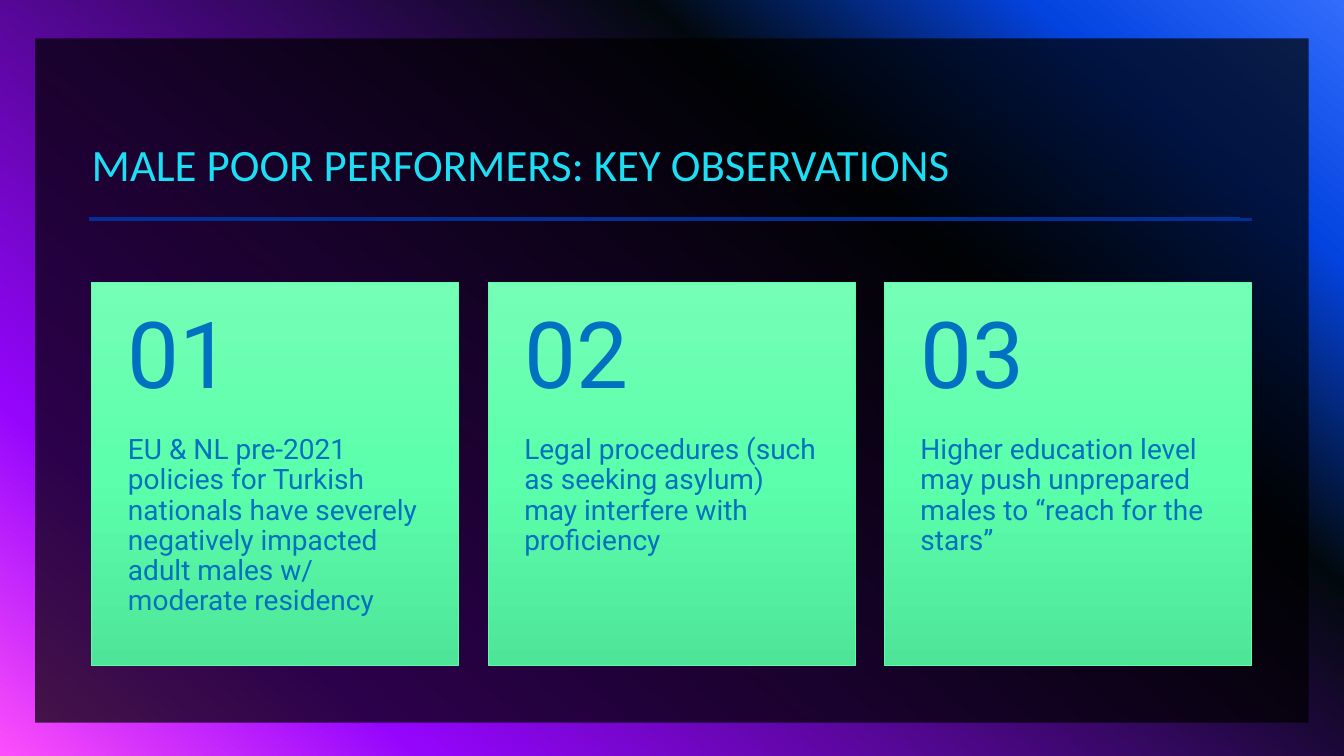
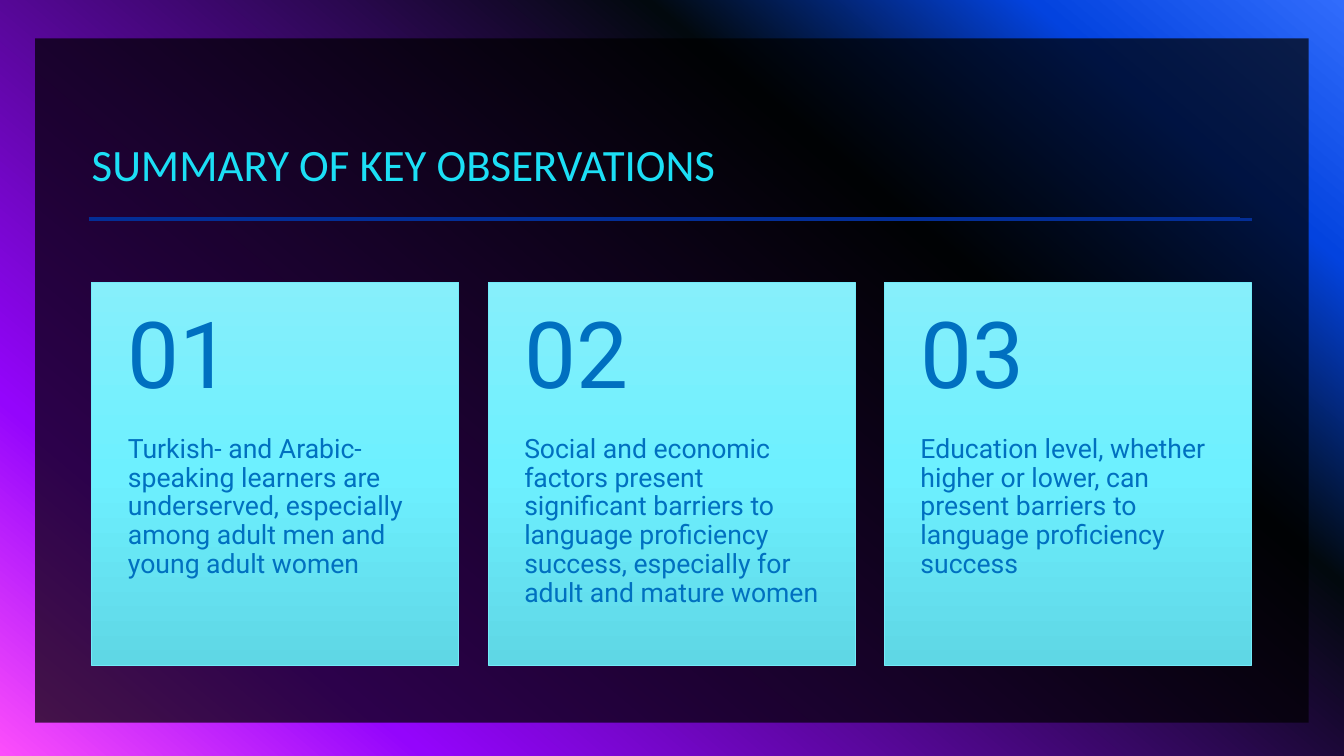
from typing import NamedTuple

from lxml import etree
from pptx import Presentation
from pptx import util as u
from pptx.dml.color import RGBColor
from pptx.enum import shapes, text
from pptx.oxml.ns import qn

CYAN, TEXT_BLUE, RULE_BLUE, BLACK = "1CDFF5", "0070C0", "032E96", "000000"
BACKDROP = [(0, "316CFC"), (14, "0343DF"), (31, "02090E"), (81, "9405FC"), (100, "FC4EFB")]
TITLE_FONT, BODY_FONT = "Calibri", "Roboto"

LEFT, CARD_TOP = 0.91, 2.8
CARD_WIDTH, CARD_GAP = 3.64, 0.29
NUMBER_HEIGHT, BODY_HEIGHT = 1.52, 2.28
PADDING = 0.36


class Box(NamedTuple):
    left: float
    top: float
    width: float
    height: float

    def lengths(self) -> list:
        return [u.Inches(value) for value in self]


class Insets(NamedTuple):
    left: float
    top: float
    right: float
    bottom: float


class TextStyle(NamedTuple):
    font: str
    size: int
    color: str
    anchor: text.MSO_ANCHOR
    insets: Insets


class CardTheme(NamedTuple):
    stops: list
    outline: str
    body_size: int


class Page(NamedTuple):
    title: str
    theme: CardTheme
    observations: list


TITLE = TextStyle(TITLE_FONT, 32, CYAN, text.MSO_ANCHOR.BOTTOM, Insets(0, 0.05, 0.1, 0.05))
NUMBER = TextStyle(BODY_FONT, 66, TEXT_BLUE, text.MSO_ANCHOR.MIDDLE,
                   Insets(PADDING, PADDING / 2, PADDING, PADDING / 2))
BODY = TextStyle(BODY_FONT, 20, TEXT_BLUE, text.MSO_ANCHOR.TOP,
                 Insets(PADDING, 0, PADDING, PADDING))

GREEN = CardTheme([(0, "75FEB6"), (50, "5BFFAC"), (100, "4FE599")], "5EFCAC", 20)
AQUA = CardTheme([(0, "86EFFB"), (50, "6DF0FF"), (100, "5FD7E5")], "73EBF9", 19)

PAGES = [
    Page("MALE POOR PERFORMERS: KEY OBSERVATIONS", GREEN, [
        "EU & NL pre-2021 policies for Turkish nationals have severely negatively "
        "impacted adult males w/ moderate residency",
        "Legal procedures (such as seeking asylum) may interfere with proficiency",
        "Higher education level may push unprepared males to “reach for the stars”",
    ]),
    Page("SUMMARY OF KEY OBSERVATIONS", AQUA, [
        "Turkish- and Arabic-speaking learners are underserved, especially among "
        "adult men and young adult women",
        "Social and economic factors present significant barriers to language "
        "proficiency success, especially for adult and mature women",
        "Education level, whether higher or lower, can present barriers to language "
        "proficiency success",
    ]),
]


def rgb(color: str) -> RGBColor:
    return RGBColor.from_string(color)


def set_gradient(fill, element, stops: list, angle: int) -> None:
    """Fill with percent/colour stops; the angle runs clockwise."""
    fill.gradient()
    fill.gradient_angle = 360 - angle
    stop_list = element.find(".//" + qn("a:gsLst"))
    for old_stop in list(stop_list):
        stop_list.remove(old_stop)
    for percent, color in stops:
        stop = etree.SubElement(stop_list, qn("a:gs"), pos=str(percent * 1000))
        etree.SubElement(stop, qn("a:srgbClr"), val=color)


def add_rectangle(page, box: Box):
    rectangle = page.shapes.add_shape(shapes.MSO_SHAPE.RECTANGLE, *box.lengths())
    rectangle.shadow.inherit = False
    return rectangle


def add_panel(page) -> None:
    panel = add_rectangle(page, Box(0.35, 0.38, 12.63, 6.79))
    panel.fill.solid()
    panel.fill.fore_color.rgb = rgb(BLACK)
    color = panel.element.spPr.find(".//" + qn("a:srgbClr"))
    etree.SubElement(color, qn("a:alpha"), val="70000")
    panel.line.fill.background()


def add_rule(page, right: float, y: float) -> None:
    rule = page.shapes.add_connector(shapes.MSO_CONNECTOR.STRAIGHT, u.Inches(0.88), u.Inches(y),
                                     u.Inches(right), u.Inches(y))
    rule.line.color.rgb = rgb(RULE_BLUE)
    rule.line.width = u.Pt(2)
    etree.SubElement(rule.element.spPr, qn("a:effectLst"))


def add_text(page, box: Box, wording: str, style: TextStyle) -> None:
    frame = page.shapes.add_textbox(*box.lengths()).text_frame
    frame.word_wrap = True
    frame.vertical_anchor = style.anchor
    (frame.margin_left, frame.margin_top,
     frame.margin_right, frame.margin_bottom) = [u.Inches(inset) for inset in style.insets]
    para = frame.paragraphs[0]
    para.text = wording
    para.line_spacing = 0.9
    para.font.name = style.font
    para.font.size = u.Pt(style.size)
    para.font.color.rgb = rgb(style.color)


def add_card(page, index: int, wording: str, theme: CardTheme) -> None:
    left = LEFT + index * (CARD_WIDTH + CARD_GAP)
    card = add_rectangle(page, Box(left, CARD_TOP, CARD_WIDTH, NUMBER_HEIGHT + BODY_HEIGHT))
    set_gradient(card.fill, card.element, theme.stops, 90)
    card.line.color.rgb = rgb(theme.outline)
    card.line.width = u.Pt(0.5)
    add_text(page, Box(left, CARD_TOP + NUMBER_HEIGHT, CARD_WIDTH, BODY_HEIGHT), wording,
             BODY._replace(size=theme.body_size))
    add_text(page, Box(left, CARD_TOP, CARD_WIDTH, NUMBER_HEIGHT), f"{index + 1:02}", NUMBER)


def add_page(deck, content: Page) -> None:
    page = deck.slides.add_slide(deck.slide_layouts[6])
    set_gradient(page.background.fill, page.element, BACKDROP, 130)
    add_panel(page)
    add_rule(page, 12.42, 2.18)
    add_rule(page, 12.3, 2.17)
    add_text(page, Box(LEFT, 0.7, 11.5, 1.25), content.title, TITLE)
    for index, wording in enumerate(content.observations):
        add_card(page, index, wording, content.theme)


def main() -> None:
    deck = Presentation()
    deck.slide_width, deck.slide_height = u.Inches(13.33), u.Inches(7.5)
    for content in PAGES:
        add_page(deck, content)
    deck.save("out.pptx")


if __name__ == "__main__":
    main()
